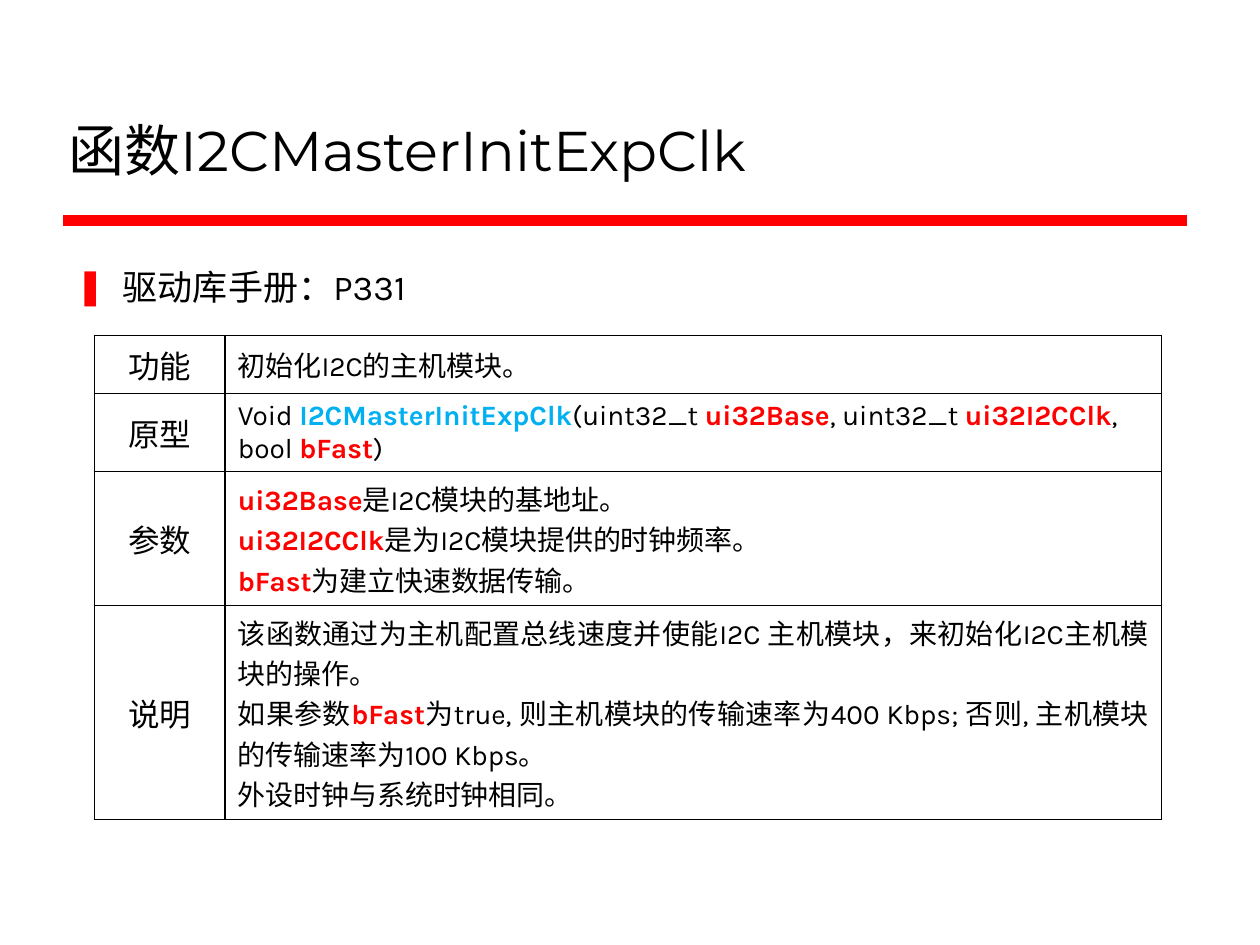
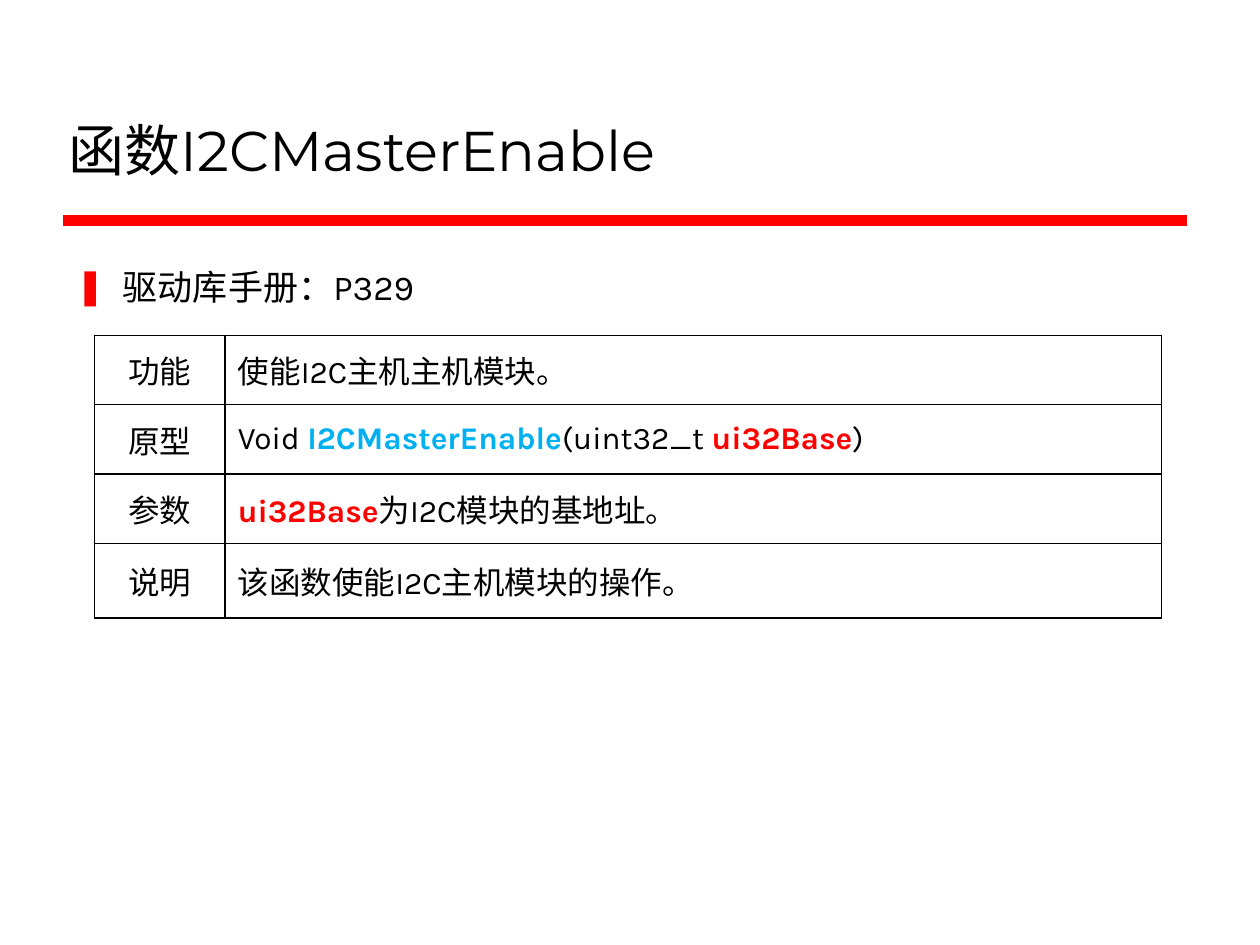
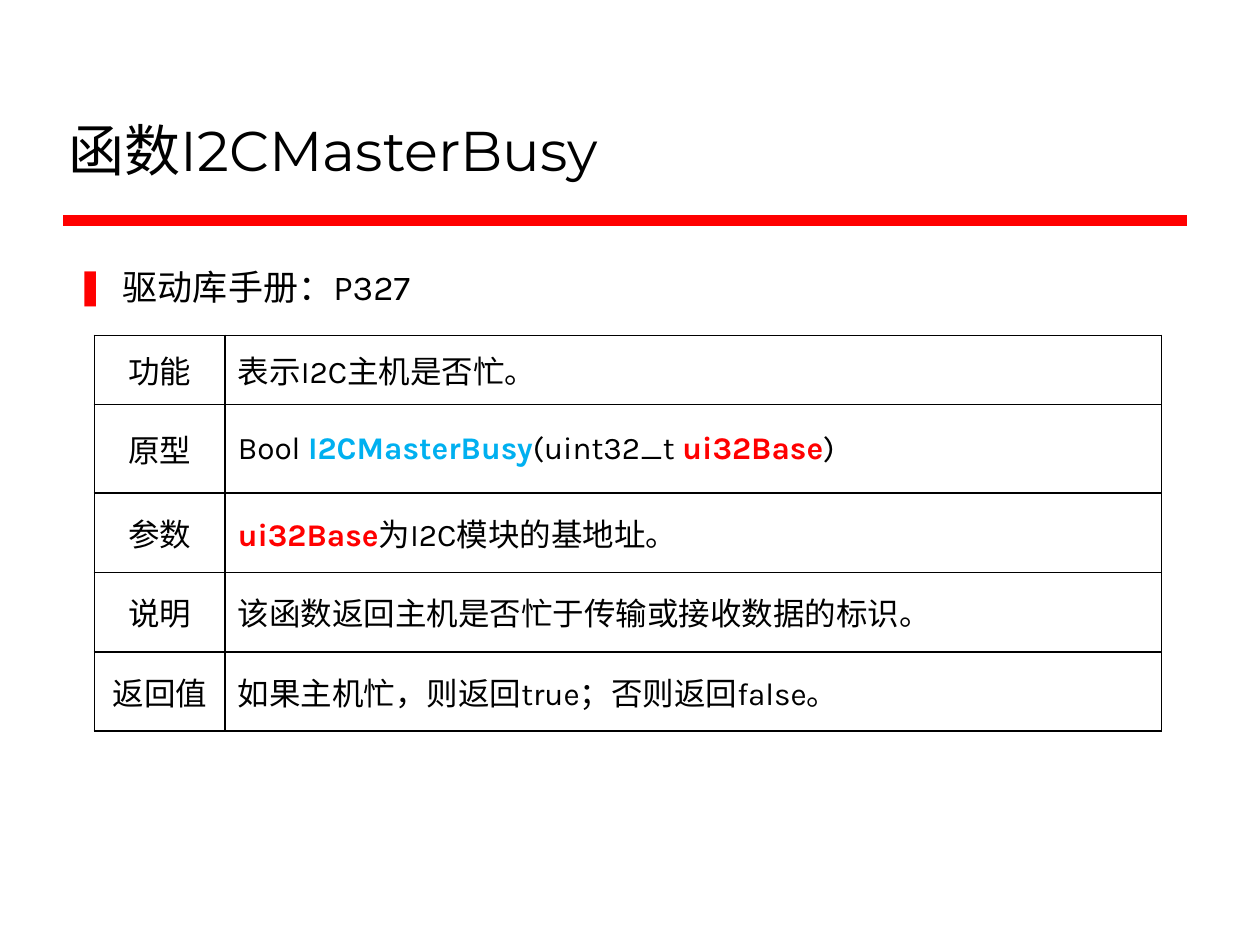
from lxml.etree import SubElement
from pptx import Presentation
from pptx.dml.color import RGBColor
from pptx.enum.lang import MSO_LANGUAGE_ID
from pptx.enum.shapes import MSO_CONNECTOR
from pptx.enum.text import MSO_ANCHOR, MSO_AUTO_SIZE, PP_ALIGN
from pptx.oxml.ns import qn
from pptx.util import Cm, Pt

# Shared look
INK = {"text": "000000", "rule": "FF0000", "name": "00B0F0", "arg": "FF0000"}
HEAD, BODY = "Montserrat", "Karla"
COLS = (2.64, 18.87)


def name(text):
    return text, "name"


def arg(text):
    return text, "arg"


# Each detail is a list of paragraphs, each paragraph a list of runs
BASE = [[arg("ui32Base"), "为I2C模块的基地址。"]]
PAGES = [
    {
        "title": "I2CMasterInitExpClk", "page": "P331", "size": 16,
        "rows": [
            ("功能", 1.17, [["初始化I2C的主机模块。"]]),
            ("原型", 0.99, [
                ["Void ", name("I2CMasterInitExpClk"), "(uint32_t ", arg("ui32Base"),
                 ", uint32_t ", arg("ui32I2CClk"), ","],
                ["bool ", arg("bFast"), ")"]]),
            ("参数", 1.6, [
                [arg("ui32Base"), "是I2C模块的基地址。"],
                [arg("ui32I2CClk"), "是为I2C模块提供的时钟频率。"],
                [arg("bFast"), "为建立快速数据传输。"]]),
            ("说明", 3.43, [
                ["该函数通过为主机配置总线速度并使能I2C 主机模块，来初始化I2C主机模块的操作。"],
                ["如果参数", arg("bFast"),
                 "为true, 则主机模块的传输速率为400 Kbps; 否则, 主机模块的传输速率为100 Kbps。"],
                ["外设时钟与系统时钟相同。"]]),
        ],
    },
    {
        "title": "I2CMasterEnable", "page": "P329", "size": 18,
        "rows": [
            ("功能", 1.4, [["使能I2C主机主机模块。"]]),
            ("原型", 1.4, [["Void ", name("I2CMasterEnable"), "(uint32_t ",
                          arg("ui32Base"), ")"]]),
            ("参数", 1.4, BASE),
            ("说明", 1.5, [["该函数使能I2C主机模块的操作。"]]),
        ],
    },
    {
        "title": "I2CMasterBusy", "page": "P327", "size": 18,
        "rows": [
            ("功能", 1.4, [["表示I2C主机是否忙。"]]),
            ("原型", 1.78, [["Bool ", name("I2CMasterBusy"), "(uint32_t ",
                           arg("ui32Base"), ")"]]),
            ("参数", 1.6, BASE),
            ("说明", 1.6, [["该函数返回主机是否忙于传输或接收数据的标识。"]]),
            ("返回值", 1.6, [["如果主机忙，则返回true；否则返回false。"]]),
        ],
    },
]


def add_run(para, text, size, face=BODY, ink="text"):
    run = para.add_run()
    run.text = text
    font = run.font
    font.name, font.size, font.bold = face, Pt(size), ink != "text"
    font.color.rgb = RGBColor.from_string(INK[ink])
    font.language_id = MSO_LANGUAGE_ID.SIMPLIFIED_CHINESE


def place(shape, left, top, width, height):
    shape.left, shape.top = Cm(left), Cm(top)
    shape.width, shape.height = Cm(width), Cm(height)
    shape.text_frame.auto_size = MSO_AUTO_SIZE.NONE
    shape.text_frame.word_wrap = True


def add_rule(slide):
    rule = slide.shapes.add_connector(
        MSO_CONNECTOR.STRAIGHT, Cm(1.27), Cm(4.45), Cm(23.93), Cm(4.45))
    rule.line.color.rgb = RGBColor.from_string(INK["rule"])
    rule.line.width = Pt(6)
    SubElement(rule._element.spPr, qn("a:effectLst"))


def add_title(slide, text):
    title = slide.shapes.title
    place(title, 1.12, 0.64, 22.78, 3.18)
    title.text_frame.vertical_anchor = MSO_ANCHOR.BOTTOM
    para = title.text_frame.paragraphs[0]
    para.alignment = PP_ALIGN.LEFT
    add_run(para, text, 32, HEAD)


def add_list(slide, text):
    body = slide.placeholders[1]
    place(body, 1.27, 5.23, 22.71, 11.58)
    para = body.text_frame.paragraphs[0]
    props = para._p.get_or_add_pPr()
    SubElement(SubElement(props, qn("a:buClr")), qn("a:srgbClr"), val=INK["rule"])
    SubElement(props, qn("a:buChar"), char="❚")
    add_run(para, text, 20)


def add_edges(cell):
    props = cell._tc.get_or_add_tcPr()
    for side in ("lnL", "lnR", "lnT", "lnB"):
        edge = SubElement(props, qn("a:" + side), w=str(Pt(1)))
        fill = SubElement(edge, qn("a:solidFill"))
        SubElement(fill, qn("a:srgbClr"), val=INK["text"])


def fill_cell(cell, paras, size, align):
    add_edges(cell)
    cell.fill.background()
    cell.vertical_anchor = MSO_ANCHOR.MIDDLE
    frame = cell.text_frame
    for i, runs in enumerate(paras):
        para = frame.add_paragraph() if i else frame.paragraphs[0]
        para.alignment = align
        for run in runs:
            text, ink = (run, "text") if isinstance(run, str) else run
            add_run(para, text, size, ink=ink)


def add_grid(slide, rows, size):
    high = sum(row[1] for row in rows)
    grid = slide.shapes.add_table(
        len(rows), len(COLS), Cm(1.9), Cm(6.76), Cm(sum(COLS)), Cm(high)).table
    grid.first_row = grid.horz_banding = False
    for col, width in zip(grid.columns, COLS):
        col.width = Cm(width)
    for i, (label, height, paras) in enumerate(rows):
        grid.rows[i].height = Cm(height)
        fill_cell(grid.cell(i, 0), [[label]], 18, PP_ALIGN.CENTER)
        align = PP_ALIGN.JUSTIFY if label == "说明" else PP_ALIGN.LEFT
        fill_cell(grid.cell(i, 1), paras, size, align)
    # The summary row has space around its text
    para = grid.cell(0, 1).text_frame.paragraphs[0]
    para.space_before = para.space_after = Pt(6)


def main():
    deck = Presentation()
    deck.slide_width, deck.slide_height = Cm(25.4), Cm(19.05)
    for page in PAGES:
        slide = deck.slides.add_slide(deck.slide_layouts[1])
        add_rule(slide)
        add_title(slide, "函数" + page["title"])
        add_list(slide, "驱动库手册：" + page["page"])
        add_grid(slide, page["rows"], page["size"])
    deck.save("out.pptx")


if __name__ == "__main__":
    main()
